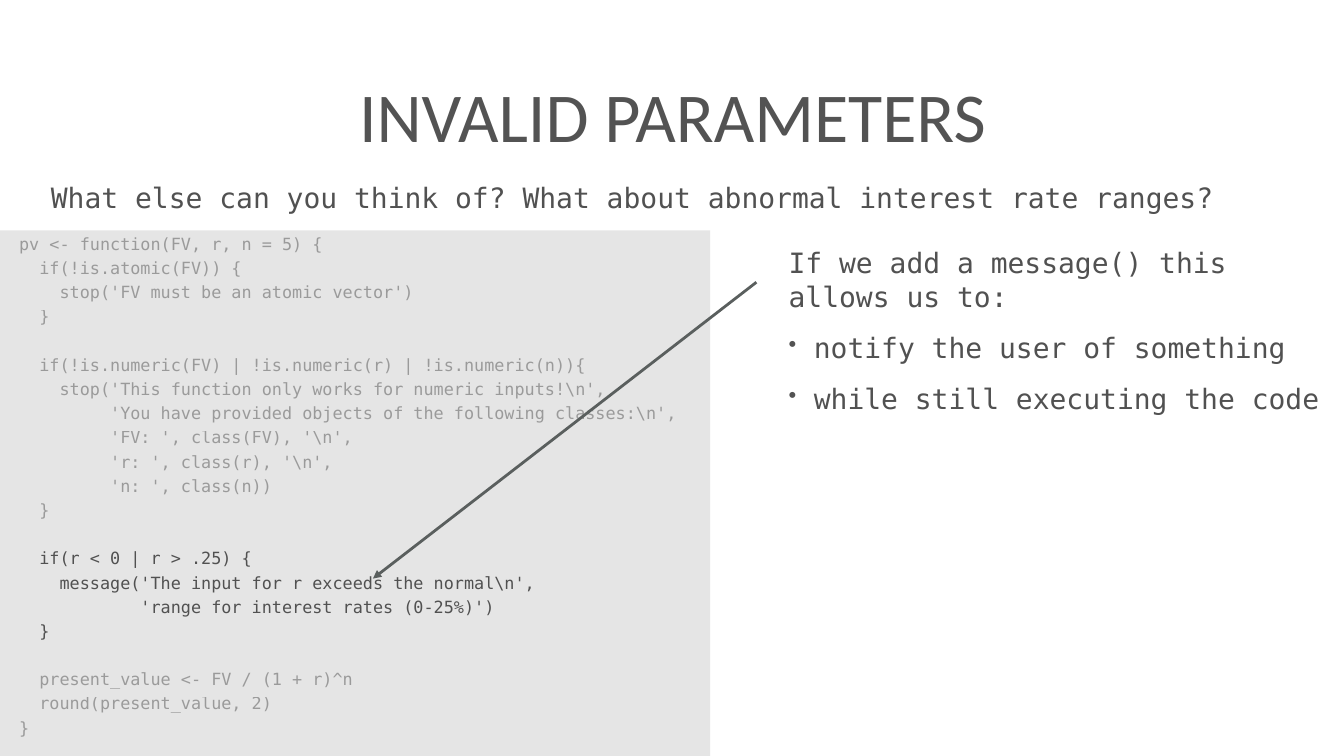
from lxml import etree
from pptx import Presentation
from pptx.dml.color import RGBColor
from pptx.enum import shapes, text
from pptx.oxml import ns
from pptx.util import Inches, Pt

TITLE = "INVALID PARAMETERS"
QUESTION = "What else can you think of? What about abnormal interest rate ranges?"
REASON = "If we add a message() this allows us to:"
BENEFITS = ["notify the user of something", "while still executing the code"]
CODE_BLOCKS = [
    (True, r"""pv <- function(FV, r, n = 5) {
  if(!is.atomic(FV)) {
    stop('FV must be an atomic vector')
  }"""),
    (True, r"""  if(!is.numeric(FV) | !is.numeric(r) | !is.numeric(n)){
    stop('This function only works for numeric inputs!\n',
         'You have provided objects of the following classes:\n',
         'FV: ', class(FV), '\n',
         'r: ', class(r), '\n',
         'n: ', class(n))
  }"""),
    (False, r"""  if(r < 0 | r > .25) {
    message('The input for r exceeds the normal\n',
            'range for interest rates (0-25%)')
  }"""),
    (True, r"""  present_value <- FV / (1 + r)^n
  round(present_value, 2)
}"""),
]
MONO, INK = "DejaVu Sans Mono", "515151"
LINE_GAP, LINE_PITCH = 5.9, 33.9


def color(hex_code):
    return RGBColor.from_string(hex_code)


def add_xml(parent, tag, **attributes):
    return etree.SubElement(parent, ns.qn(tag), attributes)


def prepare(frame, anchor=text.MSO_ANCHOR.TOP):
    frame.word_wrap = True
    frame.auto_size = text.MSO_AUTO_SIZE.NONE
    frame.vertical_anchor = anchor
    frame.margin_left = frame.margin_right = Inches(0.06)
    frame.margin_top = frame.margin_bottom = Inches(0.06)
    return frame


def write(frame, words, size, before=0, font=MONO, ink=INK, align=text.PP_ALIGN.LEFT):
    paragraph = frame.paragraphs[0] if not frame.text else frame.add_paragraph()
    paragraph.text = words
    paragraph.alignment = align
    paragraph.space_before = Pt(before)
    paragraph.font.size = Pt(size)
    paragraph.font.name = font
    paragraph.font.color.rgb = color(ink)
    return paragraph


def fade(paragraph):
    for ink in paragraph._p.pPr.iter(ns.qn("a:srgbClr")):
        add_xml(ink, "a:alpha", val="50000")


def add_bullet(paragraph):
    properties = paragraph._p.pPr
    properties.set("marL", str(Inches(0.5)))
    properties.set("indent", str(-Inches(0.5)))
    bullet_color = add_xml(properties, "a:buClr")
    add_xml(bullet_color, "a:srgbClr", val="535353")
    bullet_size = add_xml(properties, "a:buSzPct", val="82000")
    bullet = add_xml(properties, "a:buChar", char="•")
    defaults = properties.find(ns.qn("a:defRPr"))
    for part in (bullet_color, bullet_size, bullet):
        defaults.addprevious(part)


def add_text(slide, *box):
    return prepare(slide.shapes.add_textbox(*map(Inches, box)).text_frame)


def main():
    deck = Presentation()
    deck.slide_width, deck.slide_height = Inches(26.67), Inches(15)
    slide = deck.slides.add_slide(deck.slide_layouts[5])

    title = slide.shapes.title
    title.left, title.top, title.width, title.height = map(Inches, (0.74, 0.39, 25.21, 3.75))
    write(prepare(title.text_frame, text.MSO_ANCHOR.MIDDLE), TITLE, 100,
          font="Calibri", ink="535353", align=text.PP_ALIGN.CENTER)

    panel = slide.shapes.add_shape(shapes.MSO_SHAPE.RECTANGLE,
                                   *map(Inches, (0, 4.57, 14.09, 10.43)))
    panel.shadow.inherit = False
    panel.fill.solid()
    panel.fill.fore_color.rgb = color("E5E5E5")
    panel.line.fill.background()
    code = prepare(panel.text_frame)
    for faded, block in CODE_BLOCKS:
        for number, line in enumerate(block.splitlines()):
            before = LINE_GAP + (LINE_PITCH if number == 0 and code.text else 0)
            statement = write(code, line, 24, before)
            statement._p.pPr.set("marL", str(Inches(0.32)))
            if faded:
                fade(statement)

    write(add_text(slide, 0.95, 3.52, 25.38, 1.32), QUESTION, 40)

    explanation = add_text(slide, 15.59, 4.82, 10.74, 10.11)
    write(explanation, REASON, 40, 25)
    for benefit in BENEFITS:
        add_bullet(write(explanation, benefit, 40, 25))

    arrow = slide.shapes.add_connector(shapes.MSO_CONNECTOR.STRAIGHT,
                                       *map(Inches, (15.01, 5.6, 7.4, 11.48)))
    arrow.line.color.rgb = color("5A5F5E")
    arrow.line.width = Pt(4)
    add_xml(arrow.line._get_or_add_ln(), "a:tailEnd", type="triangle")
    add_xml(arrow._element.spPr, "a:effectLst")

    deck.save("out.pptx")


if __name__ == "__main__":
    main()
